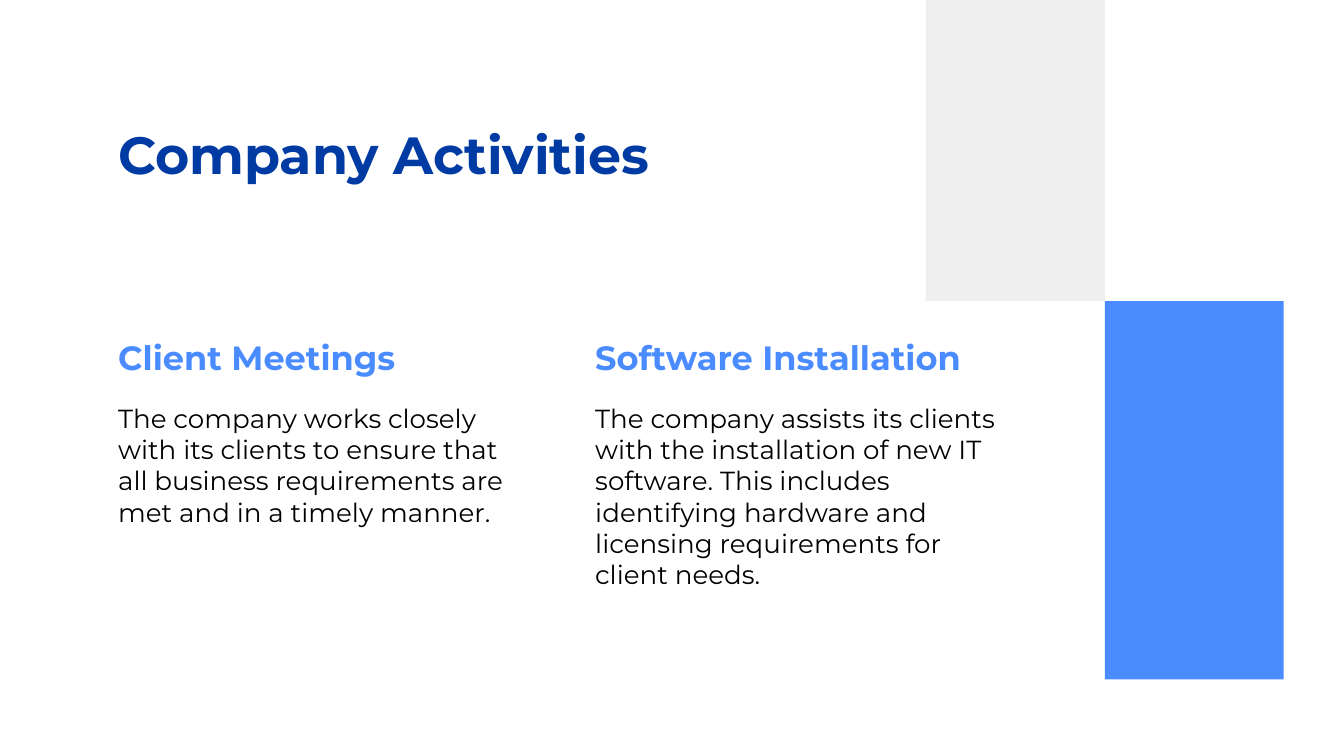
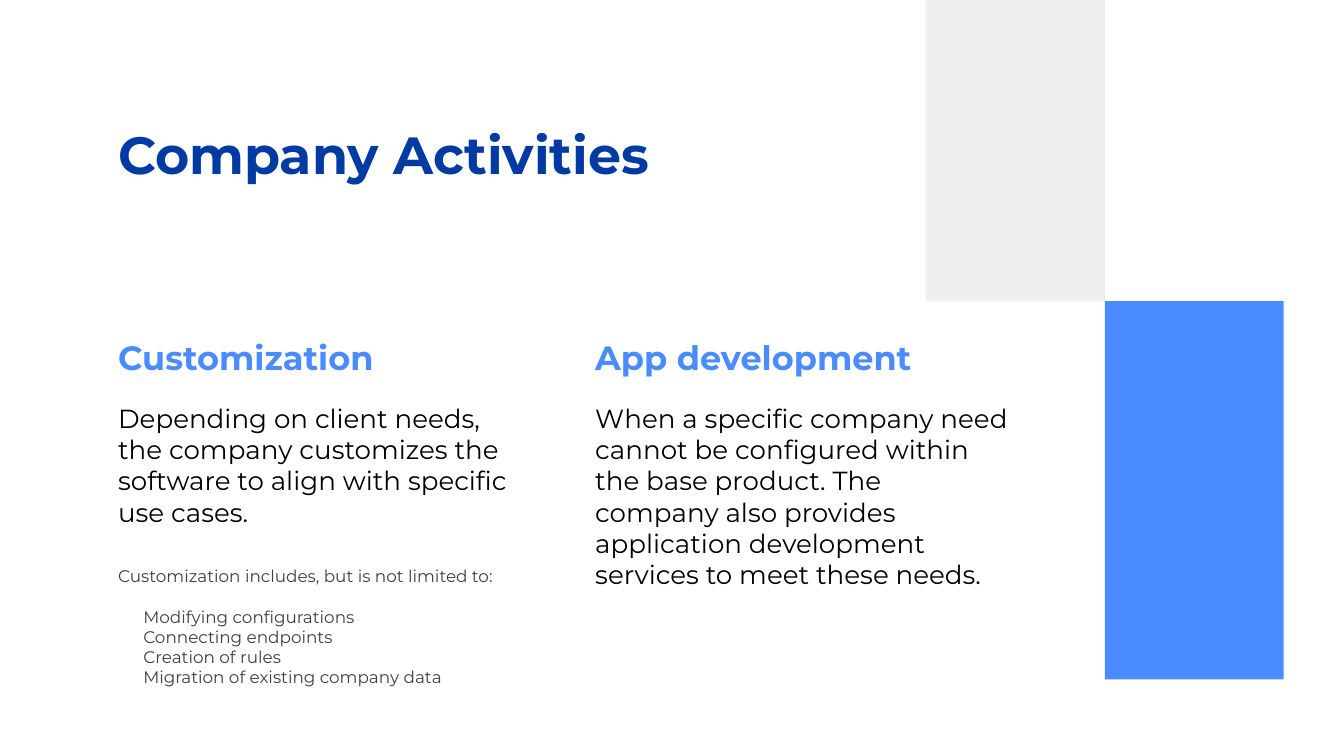
import pptx
import pptx.dml.color
import pptx.enum.shapes
import pptx.util
from dataclasses import dataclass

Pt = pptx.util.Pt

TITLE = "Company Activities"
SLIDES = [
    {
        "columns": [
            ("Client Meetings",
             "The company works closely with its clients to ensure that all business "
             "requirements are met and in a timely manner."),
            ("Software Installation",
             "The company assists its clients with the installation of new IT software. "
             "This includes identifying hardware and licensing requirements for client needs."),
        ],
    },
    {
        "columns": [
            ("Customization",
             "Depending on client needs, the company customizes the software to align "
             "with specific use cases."),
            ("App development",
             "When a specific company need cannot be configured within the base product. "
             "The company also provides application development services to meet these needs."),
        ],
        "details": [
            "Customization includes, but is not limited to:",
            "Modifying configurations",
            "Connecting endpoints",
            "Creation of rules",
            "Migration of existing company data",
        ],
    },
]


@dataclass(frozen=True)
class TextStyle:
    size: float
    color: str
    bold: bool = False


@dataclass(frozen=True)
class Theme:
    font: str = "Montserrat"
    background: str = "FFFFFF"
    gray_block: str = "EFEFEF"
    blue_block: str = "4A8CFF"
    title: TextStyle = TextStyle(28, "003BA3", True)
    heading: TextStyle = TextStyle(18, "4A8CFF", True)
    body: TextStyle = TextStyle(14, "000000")
    detail: TextStyle = TextStyle(9, "404040")


THEME = Theme()
PAGE_WIDTH, PAGE_HEIGHT = 720, 405
LEFT = 56.2
COLUMN_WIDTH, COLUMN_STEP = 235.4, 255.6
TITLE_TOP, TITLE_HEIGHT = 58.3, 45.4
HEADING_TOP, HEADING_HEIGHT = 173.5, 36.7
BODY_TOP, BODY_HEIGHT = 208.1, 115
DETAIL_TOP, DETAIL_HEIGHT = 295.9, 82
DETAIL_INDENT, DETAIL_GAP = 13.5, 11
BLOCK_LEFT, BLOCK_WIDTH = 496.1, 95.8
BLOCK_SPLIT, BLOCK_BOTTOM = 161.3, 364


def rgb(color):
    return pptx.dml.color.RGBColor.from_string(color)


def add_block(page, left, top, height, color):
    block = page.shapes.add_shape(pptx.enum.shapes.MSO_SHAPE.RECTANGLE,
                                  Pt(left), Pt(top), Pt(BLOCK_WIDTH), Pt(height))
    block.shadow.inherit = False
    block.fill.solid()
    block.fill.fore_color.rgb = rgb(color)
    block.line.fill.background()


def add_text(page, left, top, width, height, text, style):
    box = page.shapes.add_textbox(Pt(left), Pt(top), Pt(width), Pt(height))
    frame = box.text_frame
    frame.word_wrap = True
    frame.margin_left = frame.margin_right = Pt(7.2)
    frame.margin_top = frame.margin_bottom = Pt(7.2)
    frame.text = text
    for para in frame.paragraphs:
        for span in para.runs:
            span.font.name = THEME.font
            span.font.size = Pt(style.size)
            span.font.bold = style.bold
            span.font.color.rgb = rgb(style.color)
    return frame


def add_details(page, lines):
    """Add a lead-in line followed by an indented list."""
    frame = add_text(page, LEFT, DETAIL_TOP, COLUMN_WIDTH, DETAIL_HEIGHT,
                     "\n".join(lines), THEME.detail)
    lead, *items = frame.paragraphs
    lead.space_after = Pt(DETAIL_GAP)
    for para in items:
        para._p.get_or_add_pPr().set("marL", str(Pt(DETAIL_INDENT)))


def add_page(deck, content):
    page = deck.slides.add_slide(deck.slide_layouts[6])
    page.background.fill.solid()
    page.background.fill.fore_color.rgb = rgb(THEME.background)
    add_block(page, BLOCK_LEFT + BLOCK_WIDTH, BLOCK_SPLIT,
              BLOCK_BOTTOM - BLOCK_SPLIT, THEME.blue_block)
    add_block(page, BLOCK_LEFT, 0, BLOCK_SPLIT, THEME.gray_block)
    add_text(page, LEFT, TITLE_TOP, PAGE_WIDTH - 2 * LEFT, TITLE_HEIGHT, TITLE, THEME.title)
    for index, (heading, body) in enumerate(content["columns"]):
        left = LEFT + index * COLUMN_STEP
        add_text(page, left, HEADING_TOP, COLUMN_WIDTH, HEADING_HEIGHT, heading, THEME.heading)
        body_height = BODY_HEIGHT if index else DETAIL_HEIGHT
        add_text(page, left, BODY_TOP, COLUMN_WIDTH, body_height, body, THEME.body)
    if "details" in content:
        add_details(page, content["details"])


def main():
    deck = pptx.Presentation()
    deck.slide_width, deck.slide_height = Pt(PAGE_WIDTH), Pt(PAGE_HEIGHT)
    for content in SLIDES:
        add_page(deck, content)
    deck.save("out.pptx")


if __name__ == "__main__":
    main()
